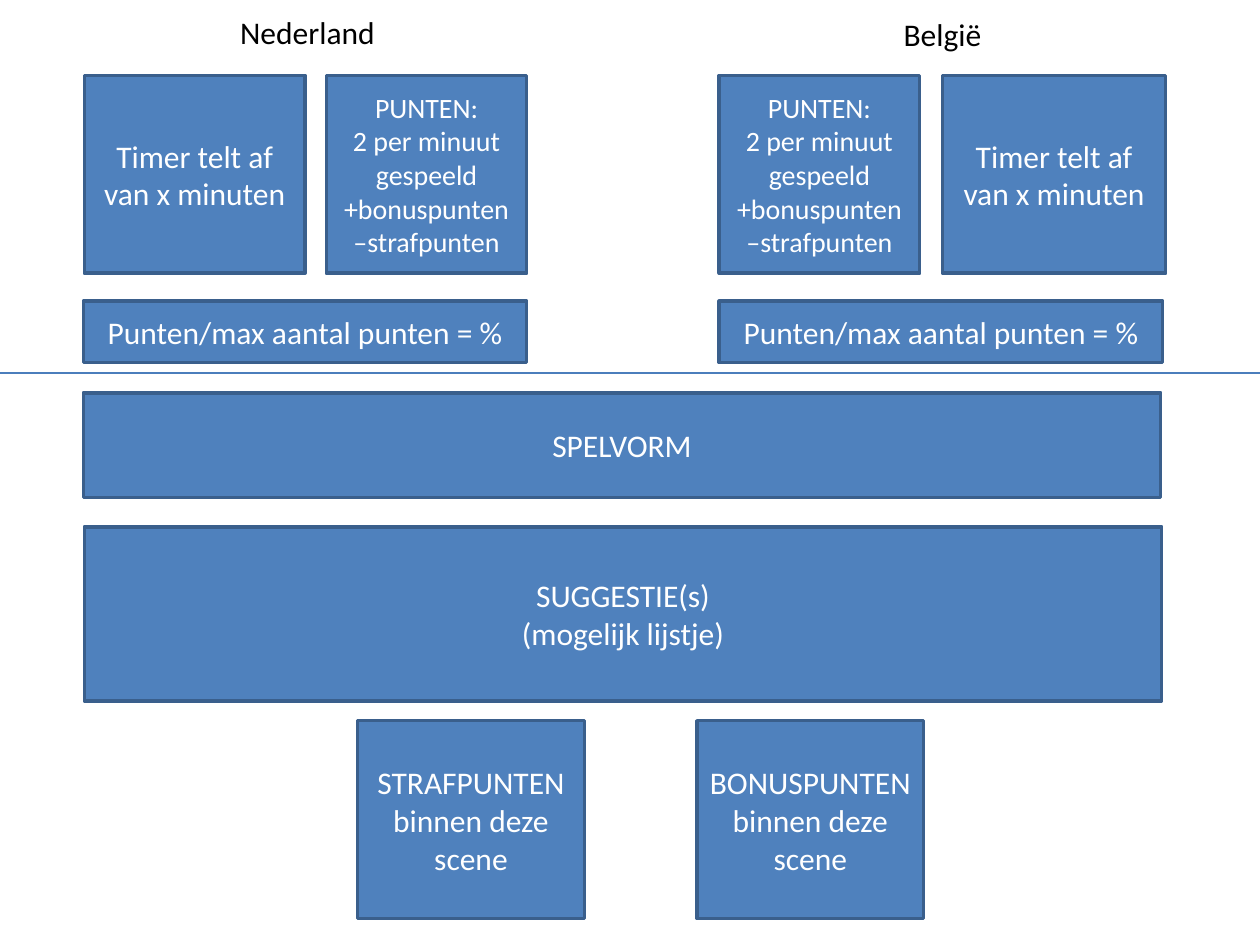
from dataclasses import dataclass

from lxml.etree import SubElement
from pptx import Presentation
from pptx.dml.color import RGBColor as Color
from pptx.enum.shapes import MSO_CONNECTOR as Connector, MSO_SHAPE as Shape
from pptx.enum.text import MSO_ANCHOR as Anchor, MSO_AUTO_SIZE as AutoSize, PP_ALIGN as Align
from pptx.oxml.ns import qn
from pptx.util import Cm, Pt


@dataclass(frozen=True)
class Theme:
    font: str = "Calibri"
    fill: Color = Color.from_string("4F81BD")
    border: Color = Color.from_string("3A5F8C")
    divider: Color = Color.from_string("4B7EBC")
    light: Color = Color.from_string("FFFFFF")
    dark: Color = Color.from_string("000000")
    body: int = 18
    small: int = 16
    border_width: float = 2
    divider_width: float = 0.75


THEME = Theme()
PAGE_WIDTH, PAGE_HEIGHT = 25.4, 19.05
DIVIDER_TOP = 7.52
HEADING_WIDTH, HEADING_HEIGHT = 6.6, 1.02

TIMER = ["Timer telt af van x minuten"]
POINTS = ["PUNTEN:", "2 per minuut gespeeld +bonuspunten –strafpunten"]
SCORE = ["Punten/max aantal punten = %"]

HEADINGS = [("Nederland", 2.9, 0.13), ("België", 15.7, 0.18)]

ROWS = [
    (1.52, 3.99, [
        (1.7, 4.45, TIMER, THEME.body),
        (6.58, 4.04, POINTS, THEME.small),
        (14.5, 4.04, POINTS, THEME.small),
        (19.0, 4.5, TIMER, THEME.body),
    ]),
    (6.07, 1.24, [(left, 8.94, SCORE, THEME.body) for left in (1.68, 14.5)]),
    (7.92, 2.11, [(1.68, 21.72, ["SPELVORM"], THEME.body)]),
    (10.62, 3.51, [(1.7, 21.72, ["SUGGESTIE(s)\n(mogelijk lijstje)"], THEME.body)]),
    (14.53, 3.99, [
        (left, 4.57, [f"{kind} binnen deze scene"], THEME.body)
        for left, kind in ((7.21, "STRAFPUNTEN"), (14.05, "BONUSPUNTEN"))
    ]),
]


def write(frame, paragraphs, size, color):
    frame.word_wrap = True
    for index, text in enumerate(paragraphs):
        para = frame.add_paragraph() if index else frame.paragraphs[0]
        para.alignment = Align.CENTER
        for number, line in enumerate(text.split("\n")):
            if number:
                para.add_line_break()
            span = para.add_run()
            span.text = line
            span.font.name = THEME.font
            span.font.size = Pt(size)
            span.font.color.rgb = color


def add_heading(page, text, left, top):
    box = page.shapes.add_textbox(Cm(left), Cm(top), Cm(HEADING_WIDTH), Cm(HEADING_HEIGHT))
    write(box.text_frame, [text], THEME.body, THEME.dark)
    box.text_frame.auto_size = AutoSize.SHAPE_TO_FIT_TEXT


def add_panel(page, left, top, width, height, paragraphs, size):
    box = page.shapes.add_shape(Shape.RECTANGLE, Cm(left), Cm(top), Cm(width), Cm(height))
    box.shadow.inherit = False
    box.fill.solid()
    box.fill.fore_color.rgb = THEME.fill
    box.line.color.rgb = THEME.border
    box.line.width = Pt(THEME.border_width)
    box.text_frame.vertical_anchor = Anchor.MIDDLE
    write(box.text_frame, paragraphs, size, THEME.light)


def add_divider(page):
    line = page.shapes.add_connector(
        Connector.STRAIGHT, Cm(0), Cm(DIVIDER_TOP), Cm(PAGE_WIDTH), Cm(DIVIDER_TOP))
    line.line.color.rgb = THEME.divider
    line.line.width = Pt(THEME.divider_width)
    SubElement(line.element.spPr, qn("a:effectLst"))


def main():
    deck = Presentation()
    deck.slide_width, deck.slide_height = Cm(PAGE_WIDTH), Cm(PAGE_HEIGHT)
    page = deck.slides.add_slide(deck.slide_layouts[6])
    for heading in HEADINGS:
        add_heading(page, *heading)
    for top, height, panels in ROWS:
        for left, width, paragraphs, size in panels:
            add_panel(page, left, top, width, height, paragraphs, size)
    add_divider(page)
    deck.save("out.pptx")


if __name__ == "__main__":
    main()
